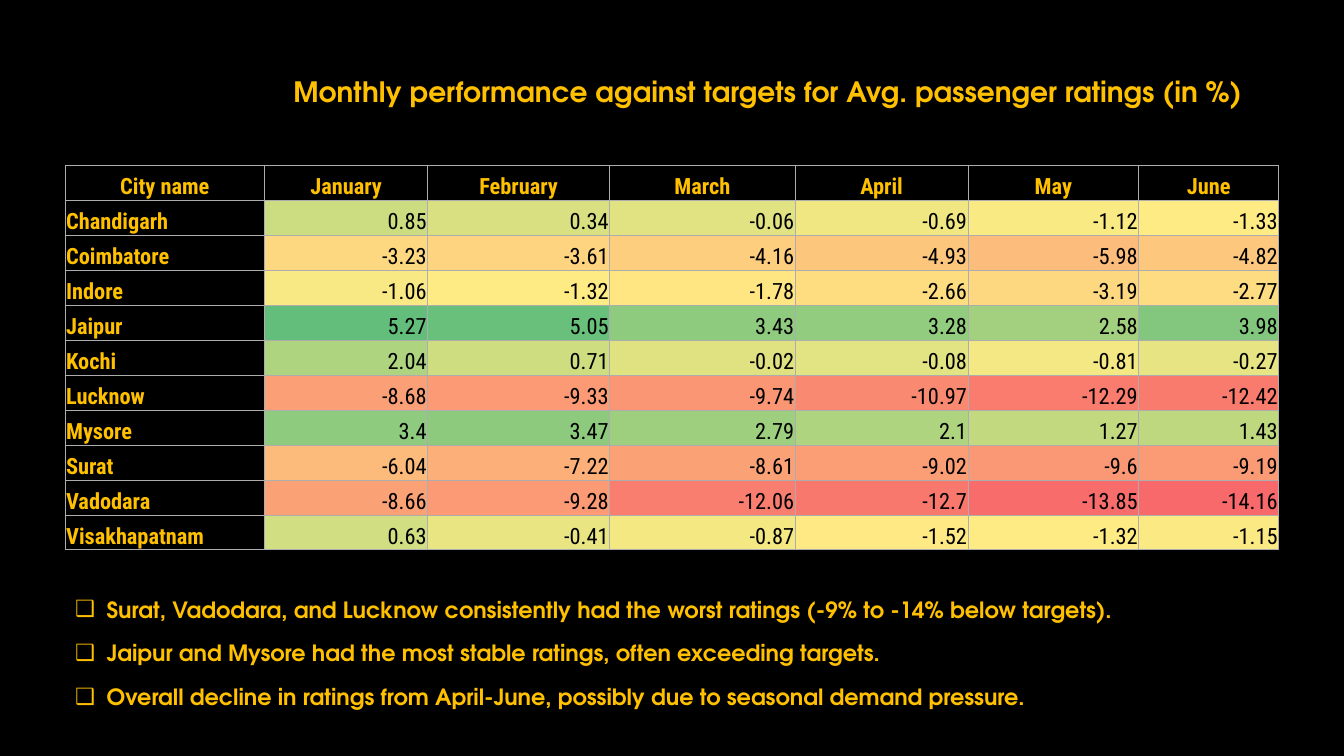
from dataclasses import dataclass

import pptx
import pptx.dml.color
import pptx.enum.text
import pptx.oxml
import pptx.oxml.ns
import pptx.util
from pptx.dml.color import RGBColor
from pptx.enum.text import MSO_ANCHOR, MSO_AUTO_SIZE, PP_ALIGN
from pptx.util import Pt

BLACK = RGBColor(0x00, 0x00, 0x00)
GOLD = RGBColor(0xFF, 0xC0, 0x00)
BORDER = RGBColor(0xAD, 0xAD, 0xAD)
WORST = RGBColor(0xF8, 0x69, 0x6B)
MIDDLE = RGBColor(0xFF, 0xEB, 0x84)
BEST = RGBColor(0x63, 0xBE, 0x7B)
TEXT_FONT = "TeX Gyre Adventor"
TABLE_FONT = "Roboto Condensed"

HEADINGS = ["City name", "January", "February", "March", "April", "May", "June"]
COLUMN_WIDTHS = [142.5, 116.5, 130, 132.5, 123.5, 122, 100]
ROW_HEIGHT = 25
MEDIAN_RATING = -1.32


@dataclass(frozen=True)
class City:
    name: str
    ratings: tuple[float, ...]


@dataclass(frozen=True)
class Area:
    left: float
    top: float
    width: float
    height: float


CITIES = [
    City("Chandigarh", (0.85, 0.34, -0.06, -0.69, -1.12, -1.33)),
    City("Coimbatore", (-3.23, -3.61, -4.16, -4.93, -5.98, -4.82)),
    City("Indore", (-1.06, -1.32, -1.78, -2.66, -3.19, -2.77)),
    City("Jaipur", (5.27, 5.05, 3.43, 3.28, 2.58, 3.98)),
    City("Kochi", (2.04, 0.71, -0.02, -0.08, -0.81, -0.27)),
    City("Lucknow", (-8.68, -9.33, -9.74, -10.97, -12.29, -12.42)),
    City("Mysore", (3.4, 3.47, 2.79, 2.1, 1.27, 1.43)),
    City("Surat", (-6.04, -7.22, -8.61, -9.02, -9.6, -9.19)),
    City("Vadodara", (-8.66, -9.28, -12.06, -12.7, -13.85, -14.16)),
    City("Visakhapatnam", (0.63, -0.41, -0.87, -1.52, -1.32, -1.15)),
]
LOWEST = min(min(city.ratings) for city in CITIES)
HIGHEST = max(max(city.ratings) for city in CITIES)

TITLE = "Monthly performance against targets for Avg. passenger ratings (in %)"
FINDINGS = [
    "Surat, Vadodara, and Lucknow consistently had the worst ratings (-9% to -14% below targets).",
    "Jaipur and Mysore had the most stable ratings, often exceeding targets.",
    "Overall decline in ratings from April-June, possibly due to seasonal demand pressure.",
]

TITLE_AREA = Area(115, 49.5, 867, 32)
TABLE_AREA = Area(46.5, 118, sum(COLUMN_WIDTHS), ROW_HEIGHT * (len(CITIES) + 1))
FINDINGS_AREA = Area(46.5, 422, 765, 90)


def rating_color(rating: float) -> RGBColor:
    """Blend red, yellow and green around the median rating."""
    end, limit = (BEST, HIGHEST) if rating > MEDIAN_RATING else (WORST, LOWEST)
    share = (rating - MEDIAN_RATING) / (limit - MEDIAN_RATING)
    return RGBColor(*(round(a + (b - a) * share) for a, b in zip(MIDDLE, end)))


def set_font(paragraph, name: str, size: float, color: RGBColor, bold: bool) -> None:
    font = paragraph.font
    font.name = name
    font.size = Pt(size)
    font.bold = bold
    font.color.rgb = color


def place(box, area: Area) -> None:
    box.left, box.top = Pt(area.left), Pt(area.top)
    box.width, box.height = Pt(area.width), Pt(area.height)
    box.text_frame.word_wrap = True
    box.text_frame.auto_size = MSO_AUTO_SIZE.NONE
    box.text_frame.vertical_anchor = MSO_ANCHOR.TOP


def add_bullet(paragraph) -> None:
    properties = paragraph._p.get_or_add_pPr()
    properties.set("marL", str(Pt(22.5)))
    properties.set("indent", str(Pt(-22.5)))
    bullet = pptx.oxml.parse_xml(f'<a:buChar {pptx.oxml.ns.nsdecls("a")} char="❑"/>')
    properties.append(bullet)


def add_borders(cell) -> None:
    properties = cell._tc.get_or_add_tcPr()
    for side in ("lnL", "lnR", "lnT", "lnB"):
        properties.append(pptx.oxml.parse_xml(
            f'<a:{side} {pptx.oxml.ns.nsdecls("a")} w="{Pt(0.5)}"><a:solidFill>'
            f'<a:srgbClr val="{BORDER}"/></a:solidFill></a:{side}>'))


def write_cell(cell, text: str, alignment: PP_ALIGN, fill: RGBColor | None = None) -> None:
    """Write a heat-map cell when a fill is given, otherwise a gold label."""
    add_borders(cell)
    cell.margin_left = cell.margin_right = cell.margin_top = Pt(0.75)
    cell.margin_bottom = Pt(0)
    cell.vertical_anchor = MSO_ANCHOR.BOTTOM
    if fill is None:
        cell.fill.background()
    else:
        cell.fill.solid()
        cell.fill.fore_color.rgb = fill
    cell.text = text
    paragraph = cell.text_frame.paragraphs[0]
    paragraph.alignment = alignment
    set_font(paragraph, TABLE_FONT, 16, GOLD if fill is None else BLACK, fill is None)


def add_ratings_table(page, area: Area) -> None:
    frame = page.shapes.add_table(
        len(CITIES) + 1, len(HEADINGS),
        Pt(area.left), Pt(area.top), Pt(area.width), Pt(area.height))
    table = frame.table
    table.first_row = table.horz_banding = False
    for column, width in zip(table.columns, COLUMN_WIDTHS):
        column.width = Pt(width)
    for row in table.rows:
        row.height = Pt(ROW_HEIGHT)
    for column_index, heading in enumerate(HEADINGS):
        write_cell(table.cell(0, column_index), heading, PP_ALIGN.CENTER)
    for row_index, city in enumerate(CITIES, start=1):
        write_cell(table.cell(row_index, 0), city.name, PP_ALIGN.LEFT)
        for column_index, rating in enumerate(city.ratings, start=1):
            write_cell(table.cell(row_index, column_index), str(rating),
                       PP_ALIGN.RIGHT, rating_color(rating))


def write_title(box) -> None:
    place(box, TITLE_AREA)
    box.text_frame.text = TITLE
    paragraph = box.text_frame.paragraphs[0]
    paragraph.alignment = PP_ALIGN.CENTER
    set_font(paragraph, TEXT_FONT, 20, GOLD, True)


def write_findings(box) -> None:
    place(box, FINDINGS_AREA)
    box.text_frame.text = "\n".join(FINDINGS)
    for paragraph in box.text_frame.paragraphs:
        add_bullet(paragraph)
        paragraph.space_before = Pt(0)
        paragraph.space_after = Pt(12)
        set_font(paragraph, TEXT_FONT, 16, GOLD, True)


def main() -> None:
    deck = pptx.Presentation()
    deck.slide_width, deck.slide_height = Pt(960), Pt(540)
    page = deck.slides.add_slide(deck.slide_layouts[1])
    page.background.fill.solid()
    page.background.fill.fore_color.rgb = BLACK
    write_title(page.shapes.title)
    add_ratings_table(page, TABLE_AREA)
    write_findings(page.placeholders[1])
    deck.save("out.pptx")


if __name__ == "__main__":
    main()
